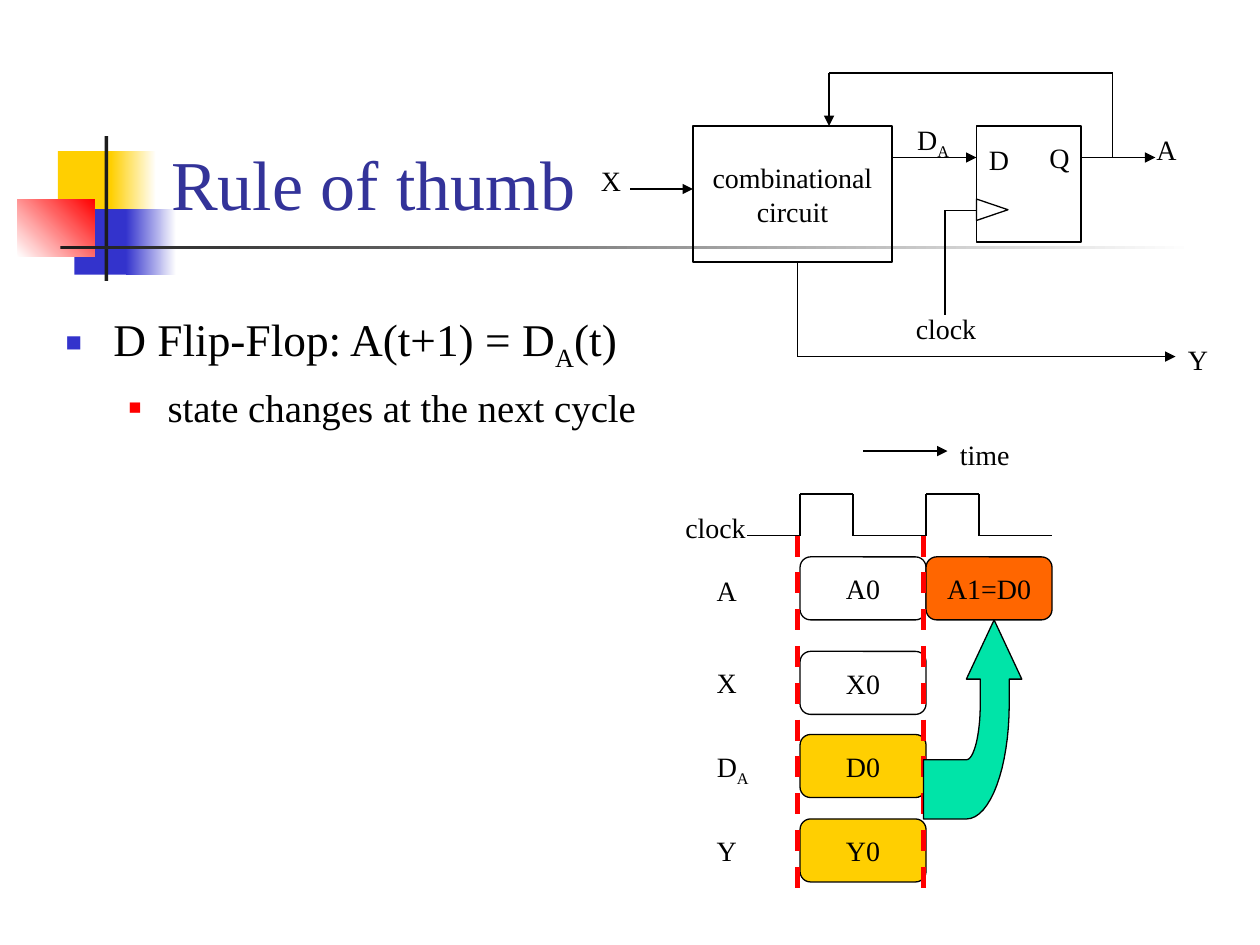
from dataclasses import dataclass

from lxml import etree
from pptx import Presentation
from pptx.dml.color import RGBColor
from pptx.enum.dml import MSO_LINE
from pptx.enum.shapes import MSO_CONNECTOR, MSO_SHAPE
from pptx.enum.text import MSO_ANCHOR, MSO_AUTO_SIZE, PP_ALIGN
from pptx.oxml.ns import qn
from pptx.util import Inches, Pt

RECT, ROUNDED = MSO_SHAPE.RECTANGLE, MSO_SHAPE.ROUNDED_RECTANGLE
TRIANGLE = MSO_SHAPE.ISOSCELES_TRIANGLE
STRAIGHT, DASH = MSO_CONNECTOR.STRAIGHT, MSO_LINE.DASH
LEFT, CENTER = PP_ALIGN.LEFT, PP_ALIGN.CENTER
MIDDLE, BOTTOM = MSO_ANCHOR.MIDDLE, MSO_ANCHOR.BOTTOM
FIT_SHAPE, NO_FIT = MSO_AUTO_SIZE.SHAPE_TO_FIT_TEXT, MSO_AUTO_SIZE.NONE


@dataclass(frozen=True)
class Theme:
    font: str = "Times New Roman"
    title_size: float = 40
    body_sizes: tuple = (25.9, 22.2)
    label_size: float = 16
    thin: float = 0.75
    thick: float = 3
    black: str = "000000"
    white: str = "FFFFFF"
    charcoal: str = "1C1C1C"
    title: str = "333399"
    blue: str = "3333CC"
    yellow: str = "FFCF01"
    red: str = "FF0000"
    orange: str = "FF6600"
    green: str = "00E4A8"


THEME = Theme()


def rgb(color):
    return RGBColor.from_string(color)


def write(p, text, size, color=THEME.black, align=LEFT):
    """Write text into a paragraph; parts between ~ marks are subscripts."""
    p.alignment = align
    for i, part in enumerate(text.split("~")):
        r = p.add_run()
        r.text = part
        r.font.name, r.font.size = THEME.font, Pt(size)
        r.font.color.rgb = rgb(color)
        if i % 2:
            r.font._element.set("baseline", "-25000")


def style(sp, fill, line):
    sp.shadow.inherit = False
    if fill:
        sp.fill.solid()
        sp.fill.fore_color.rgb = rgb(fill)
    else:
        sp.fill.background()
    if line:
        sp.line.color.rgb = rgb(line)
        sp.line.width = Pt(THEME.thin)
    else:
        sp.line.fill.background()


def add_box(slide, at, kind=RECT, fill=None, line=THEME.black, lines=()):
    sp = slide.shapes.add_shape(kind, *map(Inches, at))
    style(sp, fill, line)
    tf = sp.text_frame
    tf.word_wrap, tf.vertical_anchor = False, MIDDLE
    for i, text in enumerate(lines):
        p = tf.add_paragraph() if i else tf.paragraphs[0]
        write(p, text, THEME.label_size, align=CENTER)
    return sp


def add_gradient(slide, at, start, end, angle=0):
    sp = add_box(slide, at, line=None)
    sp.fill.gradient()
    sp.fill.gradient_angle = angle
    for stop, color in zip(sp.fill.gradient_stops, (start, end)):
        stop.color.rgb = rgb(color)


def add_label(slide, text, x, y, w=0.36, h=0.37):
    tf = slide.shapes.add_textbox(*map(Inches, (x, y, w, h))).text_frame
    tf.word_wrap, tf.auto_size = False, FIT_SHAPE
    write(tf.paragraphs[0], text, THEME.label_size)


def add_wire(slide, *points, arrow=False, color=THEME.black, width=THEME.thin, dash=None):
    """Join the points with straight lines, with an arrowhead on the last if asked."""
    for start, end in zip(points, points[1:]):
        line = slide.shapes.add_connector(STRAIGHT, *map(Inches, start + end))
        line.line.color.rgb = rgb(color)
        line.line.width = Pt(width)
        if dash:
            line.line.dash_style = dash
        etree.SubElement(line._element.spPr, qn("a:effectLst"))
    if arrow:
        etree.SubElement(line.line._get_or_add_ln(), qn("a:tailEnd"), type="triangle")


def curve(p0, p1, p2, p3, steps=16):
    """Points along a cubic curve, without its start."""
    return [tuple((1 - t) ** 3 * a + 3 * (1 - t) ** 2 * t * b + 3 * (1 - t) * t * t * c + t ** 3 * d
                  for a, b, c, d in zip(p0, p1, p2, p3))
            for t in (i / steps for i in range(1, steps + 1))]


def add_bent_arrow(slide):
    outline = [(7.89, 4.92), (8.11, 5.39), (8.01, 5.39), (8.01, 5.59)]
    outline += curve((8.01, 5.59), (8.01, 6.09), (7.86, 6.5), (7.67, 6.5))
    outline += [(7.33, 6.5), (7.33, 6.03), (7.67, 6.03)]
    outline += curve((7.67, 6.03), (7.73, 6.03), (7.78, 5.83), (7.78, 5.59))
    outline += [(7.78, 5.39), (7.67, 5.39)]
    points = [(Inches(x), Inches(y)) for x, y in outline]
    builder = slide.shapes.build_freeform(*points[0])
    builder.add_line_segments(points[1:], close=True)
    style(builder.convert_to_shape(), THEME.green, THEME.black)


def add_bullet(p, color, percent, margin, hanging):
    pPr = p._p.get_or_add_pPr()
    pPr.set("marL", str(Inches(margin)))
    pPr.set("indent", str(-Inches(hanging)))
    clr = etree.SubElement(pPr, qn("a:buClr"))
    etree.SubElement(clr, qn("a:srgbClr"), val=color)
    etree.SubElement(pPr, qn("a:buSzPct"), val=str(percent * 1000))
    etree.SubElement(pPr, qn("a:buFont"), typeface=THEME.font)
    etree.SubElement(pPr, qn("a:buChar"), char="■")


def place(slide, sp, at):
    """Move a placeholder to its position, in front of what is drawn so far."""
    sp.left, sp.top, sp.width, sp.height = map(Inches, at)
    slide.shapes._spTree.append(sp._element)
    sp.text_frame.word_wrap, sp.text_frame.auto_size = True, NO_FIT
    return sp.text_frame


def add_decoration(slide):
    add_box(slide, (0.46, 1.2, 0.48, 0.52), fill=THEME.yellow, line=None)
    add_gradient(slide, (0.88, 1.2, 0.36, 0.52), THEME.yellow, THEME.white)
    add_box(slide, (0.59, 1.66, 0.46, 0.52), fill=THEME.blue, line=None)
    add_gradient(slide, (1, 1.66, 0.4, 0.52), THEME.blue, THEME.white)
    add_gradient(slide, (0.14, 1.58, 0.61, 0.46), THEME.white, THEME.red, 45)
    add_box(slide, (0.83, 1.08, 0.03, 1.15), fill=THEME.charcoal, line=None)
    add_gradient(slide, (0.48, 1.95, 9, 0.03), THEME.charcoal, THEME.white)


def add_text(slide):
    title, body = slide.placeholders
    tf = place(slide, title, (1.26, 0.23, 8.52, 1.6))
    tf.vertical_anchor = BOTTOM
    write(tf.paragraphs[0], "Rule of thumb", THEME.title_size, THEME.title)

    tf = place(slide, body, (0.42, 2.42, 5.08, 1.08))
    p = tf.paragraphs[0]
    add_bullet(p, THEME.blue, 60, 0.38, 0.38)
    p.space_before = Pt(0)
    write(p, "D Flip-Flop: A(t+1) = D~A~(t)", THEME.body_sizes[0])
    p = tf.add_paragraph()
    p.level = 1
    add_bullet(p, THEME.red, 55, 0.81, 0.31)
    p.space_before = Pt(6)
    write(p, "state changes at the next cycle", THEME.body_sizes[1])


def add_circuit(slide):
    add_box(slide, (5.5, 1, 1.58, 1.08), lines=("combinational", "circuit"))
    add_box(slide, (7.75, 1, 0.83, 0.92))
    add_box(slide, (7.79, 1.54, 0.17, 0.25), TRIANGLE).rotation = 90
    add_wire(slide, (7.08, 1.25), (7.75, 1.25), arrow=True)
    add_wire(slide, (7.75, 1.67), (7.5, 1.67), (7.5, 2.5))
    add_wire(slide, (8.58, 1.25), (9.17, 1.25), arrow=True)
    add_wire(slide, (8.83, 1.25), (8.83, 0.58), (6.58, 0.58), (6.58, 1), arrow=True)
    add_wire(slide, (6.33, 2.08), (6.33, 2.83), (9.33, 2.83), arrow=True)
    add_wire(slide, (5, 1.5), (5.5, 1.5), arrow=True)
    for text, x, y in (("D", 7.75, 1.08), ("Q", 8.23, 1.07), ("A", 9.08, 1),
                       ("Y", 9.33, 2.67), ("X", 4.67, 1.25)):
        add_label(slide, text, x, y)
    add_label(slide, "D~A~", 7.18, 0.92, 0.45, 0.41)
    add_label(slide, "clock", 7.17, 2.42, 0.68)


def add_timing(slide):
    cycle, first, low, high = 1, 6.35, 4.25, 3.92
    add_wire(slide, (6.85, 3.58), (7.52, 3.58), arrow=True)
    add_label(slide, "time", 7.52, 3.42, 0.62)
    add_label(slide, "clock", 5.34, 4, 0.68)
    add_wire(slide, (5.93, low), (first, low))
    for x in (first, first + cycle):
        add_wire(slide, (x, low), (x, high), (x + 0.42, high), (x + 0.42, low), (x + cycle, low))

    rows = (("A", "A0", 4.42, None, 4.5), ("X", "X0", 5.17, None, 5.23),
            ("D~A~", "D0", 5.83, THEME.yellow, 5.9), ("Y", "Y0", 6.5, THEME.yellow, 6.57))
    for name, value, y, fill, label_y in rows:
        add_box(slide, (first, y, cycle, 0.5), ROUNDED, fill, lines=(value,))
        add_label(slide, name, 5.59, label_y, *((0.45, 0.41) if "~" in name else ()))
    add_box(slide, (first + cycle, 4.42, cycle, 0.5), ROUNDED, THEME.orange, lines=("A1=D0",))
    for x in (6.33, 7.33):
        add_wire(slide, (x, low), (x, 7.08), color=THEME.red, width=THEME.thick, dash=DASH)
    add_bent_arrow(slide)


def main():
    prs = Presentation()
    prs.slide_width, prs.slide_height = Inches(10), Inches(7.5)
    slide = prs.slides.add_slide(prs.slide_layouts[1])
    add_decoration(slide)
    add_text(slide)
    add_circuit(slide)
    add_timing(slide)
    prs.save("out.pptx")


if __name__ == "__main__":
    main()
